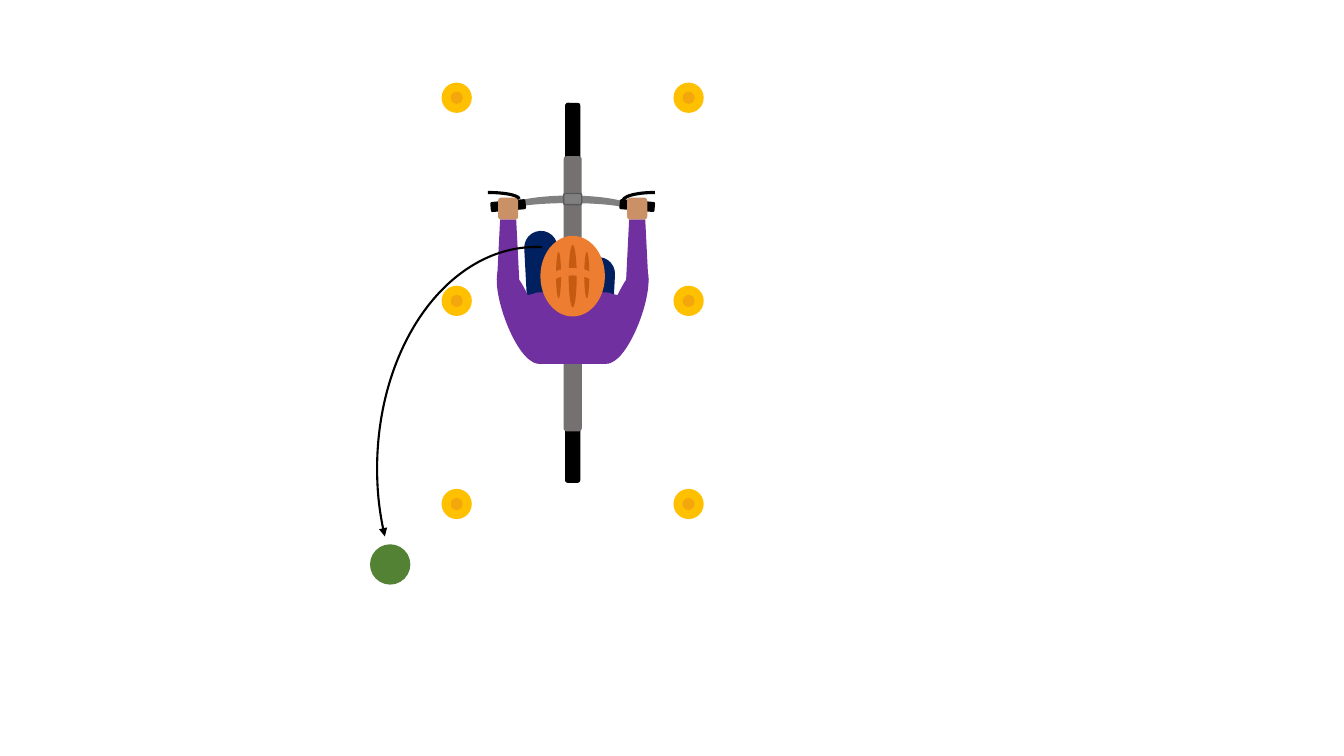
import pptx
import pptx.dml.color
import pptx.enum.shapes
import pptx.oxml
import pptx.util
from pptx.util import Inches

KIND = pptx.enum.shapes.MSO_SHAPE
COLOURS = {
    "black": "000000",
    "trousers": "002060",
    "frame": "767171",
    "jersey": "7030A0",
    "handlebar": "808080",
    "clamp_edge": "595959",
    "skin": "CA9166",
    "helmet": "ED7D31",
    "vent": "C55A11",
    "cone": "FFC000",
    "cone_tip": "F4A70C",
    "ball": "548235",
}
BIKE_AXIS = 5.68
CONE_COLUMNS = (4.53, 6.83)
CONE_TOP = 0.82
CONE_PITCH = 2.015


def rgb(name):
    return pptx.dml.color.RGBColor.from_string(COLOURS[name])


def add_part(shapes, kind, centre, top, width, height, fill=None,
             line=None, weight=1, rotation=0, adjustments=()):
    part = shapes.add_shape(kind, Inches(centre - width / 2), Inches(top),
                            Inches(width), Inches(height))
    part.shadow.inherit = False
    part.rotation = rotation
    for index, value in enumerate(adjustments):
        part.adjustments[index] = value
    if fill:
        part.fill.solid()
        part.fill.fore_color.rgb = rgb(fill)
    else:
        part.fill.background()
    if line:
        part.line.color.rgb = rgb(line)
        part.line.width = pptx.util.Pt(weight)
    else:
        part.line.fill.background()
    return part


def add_pair(shapes, kind, offset, top, width, height, fill, tilt=0, adjustments=()):
    for side in (1, -1):
        add_part(shapes, kind, BIKE_AXIS + side * offset, top, width, height, fill,
                 rotation=side * tilt % 360, adjustments=adjustments)


def add_thighs(shapes):
    for offset, top, tilt in ((0.24, 2.55, 3), (-0.3, 2.29, 357)):
        add_part(shapes, KIND.ROUNDED_RECTANGLE, BIKE_AXIS + offset, top, 0.33, 0.91,
                 "trousers", rotation=tilt, adjustments=(0.5,))


def add_brake_levers(shapes):
    for offset, height, angles in ((-0.84, 0.13, ()), (0.81, 0.16, (107.94, 164.57))):
        add_part(shapes, KIND.ARC, BIKE_AXIS + offset, 1.91, 0.62, height,
                 line="black", weight=2.25, adjustments=angles)


def add_helmet(shapes):
    add_part(shapes, KIND.OVAL, BIKE_AXIS, 2.34, 0.64, 0.8, "helmet")
    add_part(shapes, KIND.OVAL, BIKE_AXIS, 2.43, 0.08, 0.62, "vent")
    add_pair(shapes, KIND.OVAL, 0.14, 2.5, 0.05, 0.46, "vent")
    add_part(shapes, KIND.BLOCK_ARC, BIKE_AXIS, 2.66, 0.54, 0.29, "helmet")


def add_cyclist(slide):
    shapes = slide.shapes.add_group_shape().shapes
    add_thighs(shapes)
    for top, width, height, fill in ((1.02, 0.15, 3.77, "black"),
                                     (1.55, 0.18, 2.73, "frame"),
                                     (2.9, 0.9, 0.71, "jersey")):
        add_part(shapes, KIND.ROUNDED_RECTANGLE, BIKE_AXIS, top, width, height, fill)
    add_pair(shapes, KIND.OVAL, 0.53, 2.61, 0.3, 1.01, "jersey", tilt=20)
    add_part(shapes, KIND.BLOCK_ARC, BIKE_AXIS - 0.03, 1.94, 1.35, 0.3, "handlebar")
    add_pair(shapes, KIND.ROUNDED_RECTANGLE, 0.64, 1.99, 0.35, 0.1, "black", tilt=5)
    add_pair(shapes, KIND.ROUNDED_RECTANGLE, 0.64, 1.96, 0.2, 0.22, "skin")
    add_part(shapes, KIND.OVAL, BIKE_AXIS, 2.89, 1.22, 0.23, "jersey")
    add_brake_levers(shapes)
    add_pair(shapes, KIND.TRAPEZOID, 0.64, 2.18, 0.22, 0.6, "jersey", adjustments=(0.136,))
    add_helmet(shapes)
    add_part(shapes, KIND.ROUNDED_RECTANGLE, BIKE_AXIS, 1.92, 0.18, 0.11,
             "handlebar", "clamp_edge")


def add_cone(slide, centre, top):
    shapes = slide.shapes.add_group_shape().shapes
    add_part(shapes, KIND.OVAL, centre, top, 0.3, 0.3, "cone")
    add_part(shapes, KIND.OVAL, centre, top + 0.09, 0.12, 0.12, "cone_tip")


def add_throw(slide):
    add_part(slide.shapes, KIND.OVAL, 3.87, 5.4, 0.4, 0.4, "ball")
    throw = add_part(slide.shapes, KIND.ARC, 5.315, 2.45, 3.15, 4.39, line="black",
                     weight=1.5, adjustments=(93.41, 162.92))
    arrowhead = pptx.oxml.parse_xml(
        '<a:headEnd xmlns:a="http://schemas.openxmlformats.org/drawingml/2006/main" '
        'type="triangle"/>')
    throw.line._get_or_add_ln().append(arrowhead)


def main():
    deck = pptx.Presentation()
    deck.slide_width = Inches(13.33)
    deck.slide_height = Inches(7.5)
    slide = deck.slides.add_slide(deck.slide_layouts[6])
    add_cyclist(slide)
    for row in range(3):
        for centre in CONE_COLUMNS:
            add_cone(slide, centre, CONE_TOP + row * CONE_PITCH)
    add_throw(slide)
    deck.save("out.pptx")


main()
